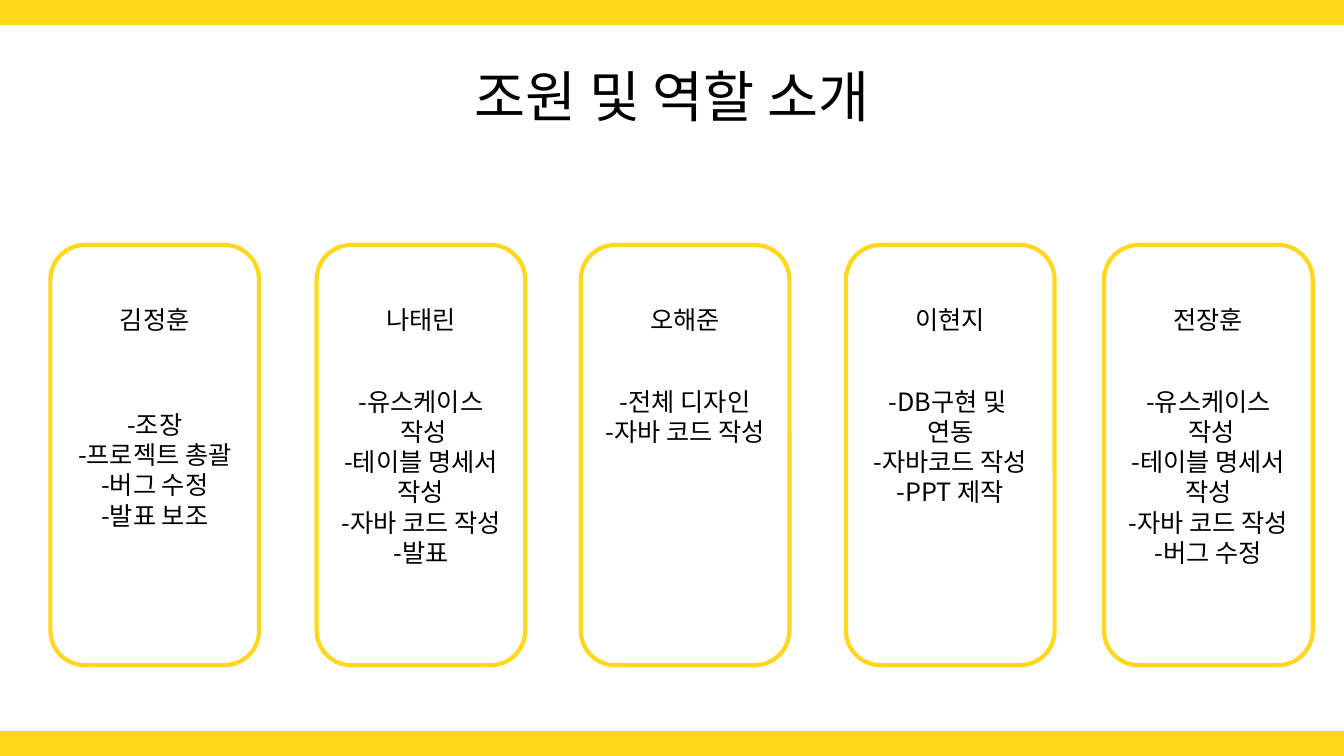
from lxml import etree
from pptx import Presentation
from pptx.dml.color import RGBColor
from pptx.enum.shapes import MSO_SHAPE as SHAPE
from pptx.enum.text import MSO_ANCHOR as ANCHOR, PP_ALIGN as ALIGN
from pptx.oxml.ns import qn
from pptx.util import Inches, Pt

COLORS = {"yellow": "FFD71C", "text": "000000"}
FONT = "Noto Sans CJK KR"
YELLOW = RGBColor.from_string(COLORS["yellow"])

CARD_TOP, CARD_WIDTH, CARD_HEIGHT = 2.43, 2.07, 4.17
NAME_WIDTH, ROLES_WIDTH = 1.34, 1.79
LINE_HEIGHT = 0.3

# card left, name, top of the roles, roles
MEMBERS = [
    (0.5, "김정훈", 4.01, ["-조장", "-프로젝트 총괄", "-버그 수정", "-발표 보조"]),
    (3.14, "나태린", 3.78,
     ["-유스케이스", " 작성", "-테이블 명세서 작성", "-자바 코드 작성", "-발표"]),
    (5.76, "오해준", 3.78, ["-전체 디자인", "-자바 코드 작성"]),
    (8.39, "이현지", 3.78, ["-DB구현 및 ", "연동", "-자바코드 작성", "-PPT 제작"]),
    (10.95, "전장훈", 3.78,
     ["-유스케이스", " 작성", "-테이블 명세서 작성", "-자바 코드 작성", "-버그 수정"]),
]


def write_centered(frame, lines, size, spacing):
    frame.word_wrap = True
    frame.text = "\n".join(lines)
    for paragraph in frame.paragraphs:
        paragraph.alignment = ALIGN.CENTER
        paragraph.line_spacing = spacing
        for run in paragraph.runs:
            run.font.size = Pt(size)
            run.font.name = FONT
            run.font.color.rgb = RGBColor.from_string(COLORS["text"])
            east_asian = etree.SubElement(run.font._element, qn("a:ea"))
            east_asian.set("typeface", FONT)


def add_yellow_shape(kind, left, top, width, height, line_width):
    shape = slide.shapes.add_shape(
        kind, Inches(left), Inches(top), Inches(width), Inches(height))
    shape.shadow.inherit = False
    shape.line.color.rgb = YELLOW
    shape.line.width = Pt(line_width)
    return shape


prs = Presentation()
prs.slide_width, prs.slide_height = Inches(13.33), Inches(7.5)
slide = prs.slides.add_slide(prs.slide_layouts[5])

title = slide.shapes.title
title.left, title.top = Inches(4.17), Inches(0.63)
title.width, title.height = Inches(4.99), Inches(0.72)
title.text_frame.vertical_anchor = ANCHOR.MIDDLE
write_centered(title.text_frame, ["조원 및 역할 소개"], 39.6, 0.9)

for band_top in (0, 7.26):
    band = add_yellow_shape(SHAPE.RECTANGLE, 0, band_top, 13.33, 0.24, 1)
    band.fill.solid()
    band.fill.fore_color.rgb = YELLOW

for card_left, name, roles_top, roles in MEMBERS:
    card = add_yellow_shape(
        SHAPE.ROUNDED_RECTANGLE, card_left, CARD_TOP, CARD_WIDTH, CARD_HEIGHT, 3)
    card.fill.background()

    for top, width, lines in ((roles_top, ROLES_WIDTH, roles), (2.97, NAME_WIDTH, [name])):
        left = card_left + (CARD_WIDTH - width) / 2
        box = slide.shapes.add_textbox(
            Inches(left), Inches(top), Inches(width),
            Inches(0.1 + LINE_HEIGHT * len(lines)))
        write_centered(box.text_frame, lines, 18, Inches(LINE_HEIGHT))

prs.save("out.pptx")
